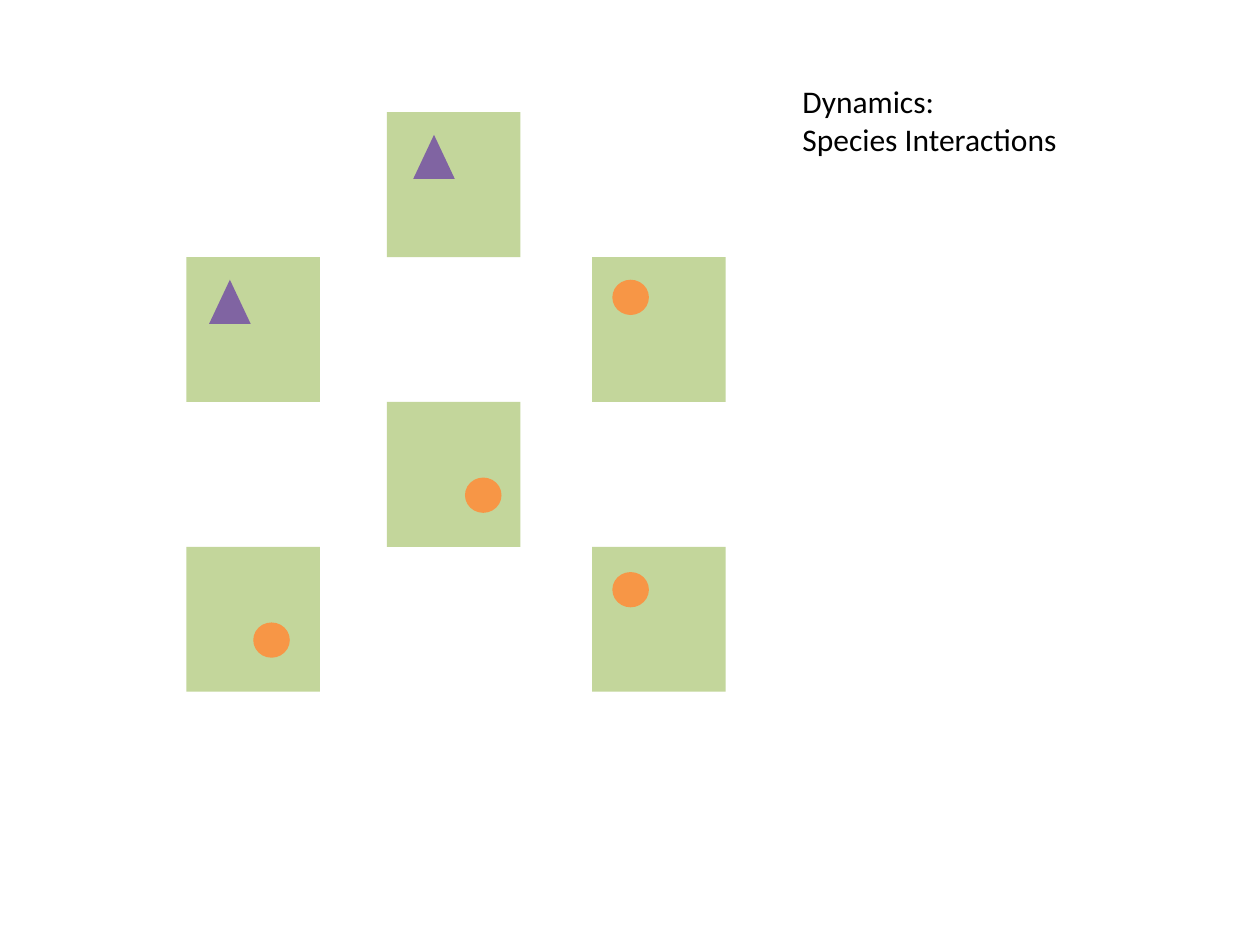
from dataclasses import dataclass

from pptx import Presentation
from pptx.dml.color import RGBColor
from pptx.enum import shapes, text
from pptx.util import Inches, Pt

KIND = shapes.MSO_SHAPE


@dataclass(frozen=True)
class Theme:
    patch: str = "C3D69B"
    prey: str = "8064A2"
    rival: str = "F79646"
    ink: str = "000000"
    font: str = "Calibri"
    size: int = 18


@dataclass(frozen=True)
class Form:
    kind: KIND
    width: float
    height: float
    color: str


@dataclass(frozen=True)
class Site:
    """A habitat patch on the grid, with one species at an offset inside it."""
    col: int
    row: int
    species: Form
    dx: float
    dy: float


THEME = Theme()
PATCH = Form(KIND.RECTANGLE, 1.06, 1.15, THEME.patch)
PREY = Form(KIND.ISOSCELES_TRIANGLE, 0.33, 0.35, THEME.prey)
RIVAL = Form(KIND.OVAL, 0.29, 0.28, THEME.rival)

COLS = (1.48, 3.07, 4.7)
TOP = 0.89
SITES = (
    Site(0, 1, PREY, 0.18, 0.18),
    Site(1, 0, PREY, 0.21, 0.18),
    Site(1, 2, RIVAL, 0.62, 0.6),
    Site(0, 3, RIVAL, 0.53, 0.6),
    Site(2, 1, RIVAL, 0.16, 0.18),
    Site(2, 3, RIVAL, 0.16, 0.2),
)


def draw(group, form: Form, left: float, top: float) -> None:
    shape = group.shapes.add_shape(form.kind, Inches(left), Inches(top),
                                   Inches(form.width), Inches(form.height))
    shape.shadow.inherit = False
    shape.fill.solid()
    shape.fill.fore_color.rgb = RGBColor.from_string(form.color)
    shape.line.fill.background()


def label(slide, words: str) -> None:
    box = slide.shapes.add_textbox(Inches(6.27), Inches(0.6),
                                   Inches(2.25), Inches(0.71))
    frame = box.text_frame
    frame.text = words
    frame.word_wrap = False
    frame.auto_size = text.MSO_AUTO_SIZE.SHAPE_TO_FIT_TEXT
    for line in frame.paragraphs:
        for run in line.runs:
            run.font.name = THEME.font
            run.font.size = Pt(THEME.size)
            run.font.color.rgb = RGBColor.from_string(THEME.ink)


def main() -> None:
    deck = Presentation()
    deck.slide_width, deck.slide_height = Inches(10), Inches(7.5)
    slide = deck.slides.add_slide(deck.slide_layouts[6])
    group = slide.shapes.add_group_shape()
    spots = [(site, COLS[site.col], TOP + site.row * PATCH.height)
             for site in SITES]
    for _, left, top in spots:
        draw(group, PATCH, left, top)
    for site, left, top in spots:
        draw(group, site.species, left + site.dx, top + site.dy)
    label(slide, "Dynamics:\nSpecies Interactions")
    deck.save("out.pptx")


if __name__ == "__main__":
    main()
